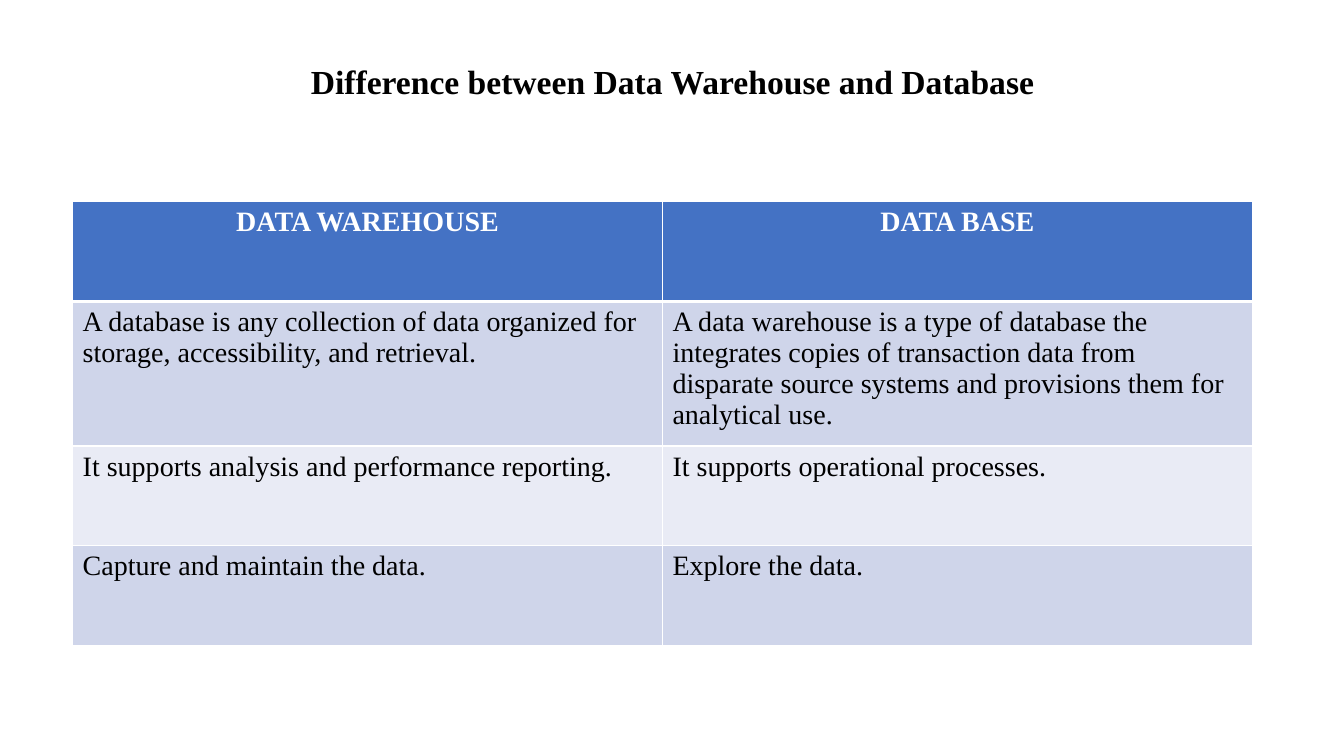
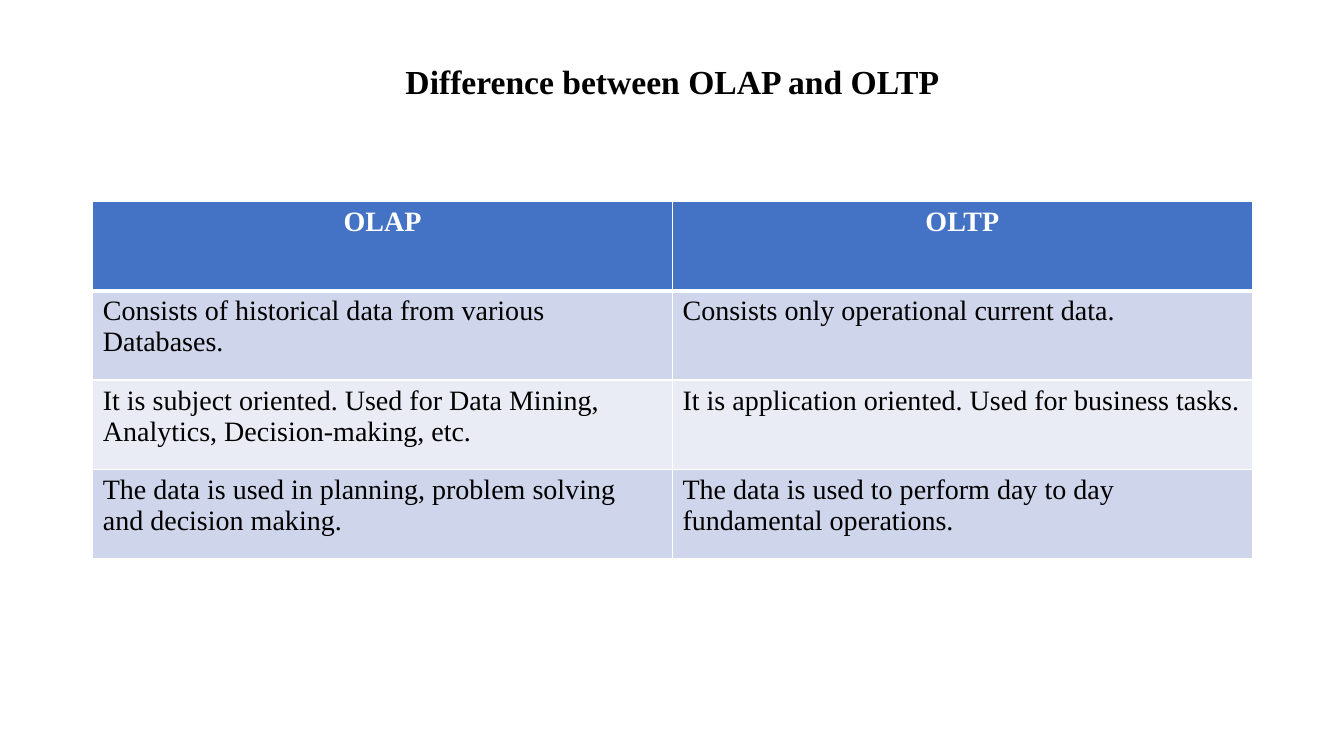
"""Build two comparison slides, each a centred title above a two-column table."""
from lxml import etree
from pptx import Presentation
from pptx.dml.color import RGBColor
from pptx.enum.text import MSO_ANCHOR, PP_ALIGN
from pptx.oxml.ns import qn
from pptx.util import Inches, Pt

CENTER, LEFT = PP_ALIGN.CENTER, PP_ALIGN.LEFT
MIDDLE = MSO_ANCHOR.MIDDLE

COMPARISONS = [
    {
        "title": "Difference between Data Warehouse and Database",
        "left": 0.72,
        "row_heights": [0.99, 1.33, 0.99, 0.99],
        "rows": [
            ("DATA WAREHOUSE", "DATA BASE"),
            ("A database is any collection of data organized for storage, "
             "accessibility, and retrieval.",
             "A data warehouse is a type of database the integrates copies of "
             "transaction data from disparate source systems and provisions "
             "them for analytical use."),
            ("It supports analysis and performance reporting.",
             "It supports operational processes."),
            ("Capture and maintain the data.", "Explore the data."),
        ],
    },
    {
        "title": "Difference between OLAP and OLTP",
        "left": 0.92,
        "row_heights": [0.885] * 4,
        "rows": [
            ("OLAP", "OLTP"),
            ("Consists of historical data from various Databases.",
             "Consists only operational current data."),
            ("It is subject oriented. Used for Data Mining, Analytics, "
             "Decision-making, etc.",
             "It is application oriented. Used for business tasks."),
            ("The data is used in planning, problem solving and decision making.",
             "The data is used to perform day to day fundamental operations."),
        ],
    },
]

SLIDE_SIZE = (13.33, 7.5)
TITLE_BOX = (0.92, 0.37, 11.5, 0.92)
TABLE_TOP, TABLE_RIGHT = 2, 12.42
WHITE, BLACK = "FFFFFF", "000000"
HEADER_FILL, BODY_FILLS = "4472C4", ("CFD5EA", "E9EBF5")
THIN, THICK = 1, 3
TITLE_FONT = {"name": "Times New Roman", "size": Pt(24), "bold": True}
HEADER_FONT = {**TITLE_FONT, "size": Pt(20)}
BODY_FONT = {**HEADER_FONT, "bold": False}


def rgb(hex_color):
    """Turn a hex string into a colour."""
    return RGBColor.from_string(hex_color)


def write(frame, text, font_format, color, align):
    """Put one formatted paragraph into a text frame and return it."""
    paragraph = frame.paragraphs[0]
    paragraph.alignment = align
    run = paragraph.add_run()
    run.text = text
    for attribute, value in font_format.items():
        setattr(run.font, attribute, value)
    run.font.color.rgb = rgb(color)
    return paragraph


def add_border(cell, side, points):
    """Draw one white edge of a cell."""
    properties = cell._tc.get_or_add_tcPr()
    edge = etree.SubElement(properties, qn(f"a:ln{side}"), w=str(Pt(points)))
    fill = etree.SubElement(edge, qn("a:solidFill"))
    etree.SubElement(fill, qn("a:srgbClr"), val=WHITE)


def add_title(slide, text):
    """Add the centred slide title."""
    frame = slide.shapes.add_textbox(*map(Inches, TITLE_BOX)).text_frame
    frame.word_wrap = True
    frame.vertical_anchor = MIDDLE
    write(frame, text, TITLE_FONT, BLACK, CENTER).line_spacing = 0.9


def style_cell(cell, row, text):
    """Fill, border and label a cell according to its row."""
    edges = {"L": THIN, "R": THIN,
             "T": THICK if row == 1 else THIN,
             "B": THICK if row == 0 else THIN}
    for side, points in edges.items():
        add_border(cell, side, points)
    cell.fill.solid()
    if row == 0:
        cell.fill.fore_color.rgb = rgb(HEADER_FILL)
        write(cell.text_frame, text, HEADER_FONT, WHITE, CENTER)
    else:
        cell.fill.fore_color.rgb = rgb(BODY_FILLS[(row - 1) % 2])
        write(cell.text_frame, text, BODY_FONT, BLACK, LEFT)


def add_comparison(slide, left, row_heights, rows):
    """Add the two-column table that ends at the shared right margin."""
    box = (left, TABLE_TOP, TABLE_RIGHT - left, sum(row_heights))
    table = slide.shapes.add_table(
        len(rows), len(rows[0]), *map(Inches, box)).table
    for row, (height, texts) in enumerate(zip(row_heights, rows)):
        table.rows[row].height = Inches(height)
        for column, text in enumerate(texts):
            style_cell(table.cell(row, column), row, text)


deck = Presentation()
deck.slide_width, deck.slide_height = map(Inches, SLIDE_SIZE)
blank = deck.slide_layouts[6]
for comparison in COMPARISONS:
    slide = deck.slides.add_slide(blank)
    add_title(slide, comparison["title"])
    add_comparison(slide, comparison["left"], comparison["row_heights"],
                   comparison["rows"])
deck.save("out.pptx")
